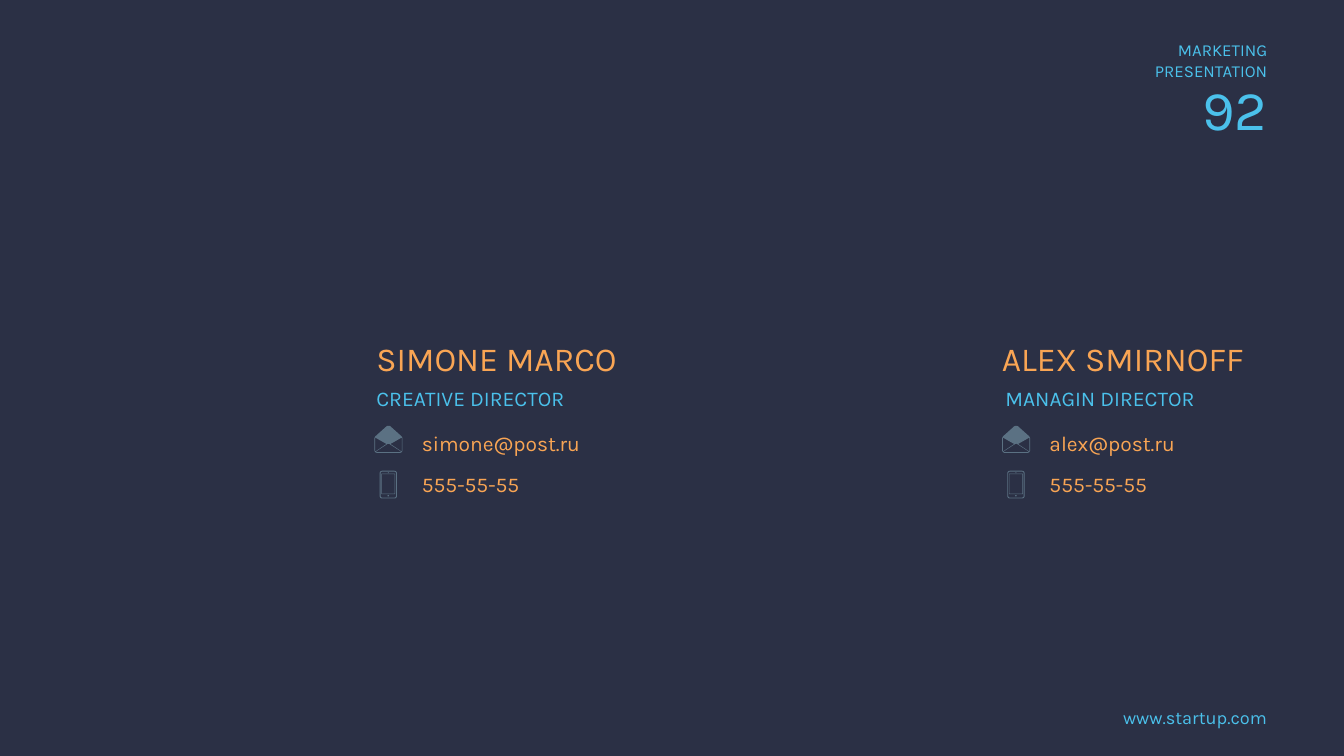
import math

from pptx import Presentation
from pptx.dml.color import RGBColor
from pptx.enum import shapes, text
from pptx.util import Pt

NAVY = RGBColor(0x2B, 0x30, 0x45)
SKY = RGBColor(0x4B, 0xC1, 0xEB)
ORANGE = RGBColor(0xF9, 0xA5, 0x54)
SLATE = RGBColor(0x5B, 0x71, 0x83)

UNITS = 100  # freeform units per point
ENVELOPE_WIDTH = 40
PHONE_WIDTH, PHONE_HEIGHT = 24.7, 39.6
RIGHT_EDGE = 1810.4
COLUMN_STEP = 896.8


def rounded_outline(left, top, width, height, radius, steps=6):
    """Points around a rectangle with round corners."""
    right, bottom = left + width - radius, top + height - radius
    centres = [(right, bottom), (left + radius, bottom),
               (left + radius, top + radius), (right, top + radius)]
    outline = []
    for quarter, (cx, cy) in enumerate(centres):
        for step in range(steps + 1):
            angle = (quarter + step / steps) * math.pi / 2
            outline.append((cx + radius * math.cos(angle),
                            cy + radius * math.sin(angle)))
    return outline


def rectangle(left, top, width, height):
    return [(left, top), (left + width, top),
            (left + width, top + height), (left, top + height)]


def mirrored(half):
    """The right-hand counterpart of an envelope outline."""
    return [(ENVELOPE_WIDTH - x, y) for x, y in reversed(half)]


class ContactSlide:
    font_name = "Karla"

    def __init__(self, deck):
        self.slide = deck.slides.add_slide(deck.slide_layouts[6])
        self.slide.background.fill.solid()
        self.slide.background.fill.fore_color.rgb = NAVY

    def label(self, lines, left, top, width, height, size, color,
              spacing=None, **frame_format):
        frame = self.slide.shapes.add_textbox(
            Pt(left), Pt(top), Pt(width), Pt(height)).text_frame
        settings = {"margin_left": 0, "margin_top": 0, "margin_right": 0,
                    "margin_bottom": 0, "word_wrap": True,
                    "auto_size": text.MSO_AUTO_SIZE.SHAPE_TO_FIT_TEXT}
        align = frame_format.pop("alignment", text.PP_ALIGN.LEFT)
        for key, value in {**settings, **frame_format}.items():
            setattr(frame, key, value)
        frame.text = lines
        for paragraph in frame.paragraphs:
            paragraph.alignment = align
            paragraph.line_spacing = spacing
            for key, value in {"name": self.font_name, "size": Pt(size)}.items():
                setattr(paragraph.font, key, value)
            paragraph.font.color.rgb = color

    def paint(self, shape):
        shape.shadow.inherit = False
        shape.fill.solid()
        shape.fill.fore_color.rgb = SLATE
        shape.line.fill.background()

    def outline(self, parent, left, top, contours):
        """One filled shape; inner contours become holes."""
        builder = None
        for contour in contours:
            points = [(x * UNITS, y * UNITS) for x, y in contour]
            if builder is None:
                builder = parent.build_freeform(*points[0], scale=Pt(1) / UNITS)
            else:
                builder.move_to(*points[0])
            builder.add_line_segments(points[1:], close=True)
        self.paint(builder.convert_to_shape(Pt(left), Pt(top)))

    def dot(self, parent, centre_x, centre_y, size):
        self.paint(parent.add_shape(
            shapes.MSO_SHAPE.OVAL, Pt(centre_x - size / 2),
            Pt(centre_y - size / 2), Pt(size), Pt(size)))

    def envelope(self, left, top):
        body = [(18.5, 0), (17.3, 0.6), (1.2, 15), (0, 17.4),
                (0, 35.4), (1, 37.6), (3.2, 38.5)]
        side = [(1.3, 36.6), (0.9, 35.4), (0.9, 17.4), (1.2, 16.8), (17.2, 25.9)]
        front = [(20, 25.5), (18.7, 25.9), (2, 36.7), (3.2, 37.5)]
        self.outline(self.slide.shapes, left, top,
                     [body + mirrored(body), side, mirrored(side),
                      front + mirrored(front)])

    def phone(self, left, top):
        parts = self.slide.shapes.add_group_shape().shapes
        rim = 1.3
        self.outline(parts, left, top, [
            rounded_outline(0, 0, PHONE_WIDTH, PHONE_HEIGHT, 3.6),
            rounded_outline(rim, rim, PHONE_WIDTH - 2 * rim,
                            PHONE_HEIGHT - 2 * rim, 2.3)])
        middle = left + PHONE_WIDTH / 2
        self.dot(parts, middle, top + 35.7, 2.2)
        self.dot(parts, middle, top + 2.8, 1.4)
        self.outline(parts, left, top, [rectangle(2.5, 4.3, 19.7, 29.2),
                                        rectangle(3.1, 4.9, 18.5, 28)])


def main():
    deck = Presentation()
    deck.slide_width, deck.slide_height = Pt(1920.24), Pt(1080)
    page = ContactSlide(deck)
    right = text.PP_ALIGN.RIGHT
    middle = text.MSO_ANCHOR.MIDDLE

    # Header and footer, all ending at the right margin
    page.label("www.startup.com", RIGHT_EDGE - 257.8, 1008.7, 257.8, 31.7,
               26, SKY, alignment=right)
    page.label("92", RIGHT_EDGE - 221.8, 126, 221.8, 57.6, 80, SKY,
               alignment=right, vertical_anchor=middle,
               auto_size=text.MSO_AUTO_SIZE.NONE)
    page.label("MARKETING\nPRESENTATION", RIGHT_EDGE - 161, 56.9, 161, 58.3,
               24, SKY, alignment=right, vertical_anchor=middle,
               word_wrap=False)

    # Contacts: name and role with their left edges and widths, then e-mail
    people = [
        ("SIMONE MARCO", 537.8, 491, "CREATIVE DIRECTOR", 537.8, "simone@post.ru"),
        ("ALEX SMIRNOFF", 1431.4, 379.4, "MANAGIN DIRECTOR", 1436.4, "alex@post.ru"),
    ]
    for column, (name, name_left, name_width, role, role_left, email) in enumerate(people):
        shift = column * COLUMN_STEP
        page.label(name, name_left, 481.7, name_width, 58.3, 48, ORANGE,
                   vertical_anchor=middle)
        page.label(role, role_left, 542.9, 391, 43.9, 30, SKY, spacing=1.2)
        page.envelope(535 + shift, 608.4)
        page.phone(542.4 + shift, 672.5)
        for detail, top in ((email, 608.4), ("555-55-55", 666.7)):
            page.label(detail, 602.7 + shift, top, 234.7, 43.9, 30, ORANGE,
                       spacing=1.2)

    deck.save("out.pptx")


if __name__ == "__main__":
    main()
